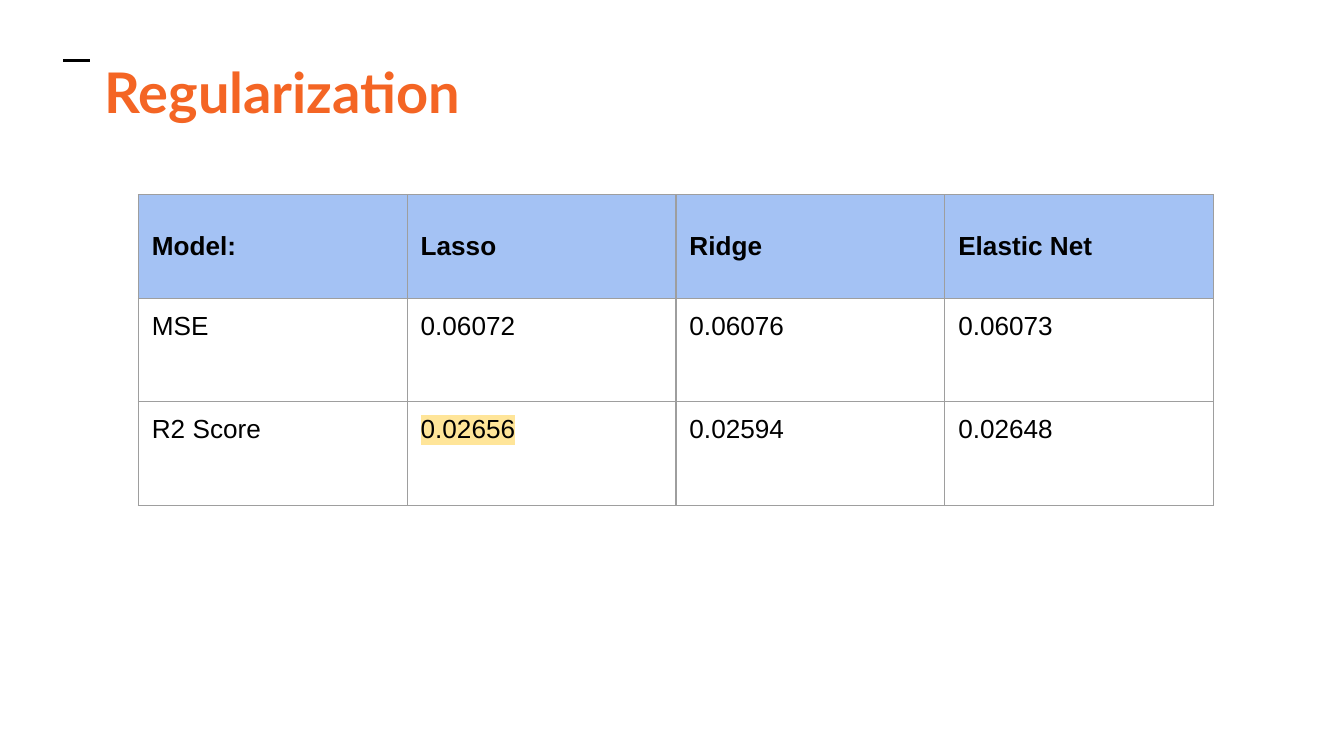
from dataclasses import dataclass

from lxml.etree import SubElement
from pptx import Presentation
from pptx.dml.color import RGBColor as RGB
from pptx.enum.shapes import MSO_CONNECTOR as CONN
from pptx.enum.text import MSO_ANCHOR as ANCHOR
from pptx.oxml.ns import qn
from pptx.util import Inches, Pt


@dataclass(frozen=True)
class Theme:
    """Colours, fonts and sizes of the slide."""
    ink: str = "000000"
    accent: str = "F46524"
    header: str = "A4C2F4"
    mark: str = "FFE599"
    grid: str = "9E9E9E"
    title_font: str = "Lato"
    body_font: str = "Arial"
    title_size: float = 30
    body_size: float = 14
    rule: float = 1.5
    hairline: float = 0.75
    inset: float = 0.1


def solid(parent, tag, color):
    """Append an element that holds an RGB colour."""
    SubElement(SubElement(parent, qn(tag)), qn("a:srgbClr"), val=color)


def write(tf, text, *, font, size, color, bold=False, mark=None,
          spacing=None, after=None):
    """Put formatted text in the first paragraph of a text frame."""
    p = tf.paragraphs[0]
    if spacing:
        p.line_spacing = spacing
    if after is not None:
        p.space_after = Pt(after)
    r = p.add_run()
    r.text = text
    r.font.name, r.font.size, r.font.bold = font, Pt(size), bold
    r.font.color.rgb = RGB.from_string(color)
    if mark:
        rpr = r.font._element
        solid(rpr, "a:highlight", mark)
        rpr.find(qn("a:solidFill")).addnext(rpr.find(qn("a:highlight")))


class Deck:
    """Holds the theme and the current slide."""

    def __init__(self, width, height, theme):
        """Start a presentation with one blank slide."""
        self.prs, self.theme = Presentation(), theme
        self.prs.slide_width, self.prs.slide_height = Inches(width), Inches(height)
        self.s = self.prs.slides.add_slide(self.prs.slide_layouts[6])

    def x(self, share):
        """Turn a share of the slide width into a length."""
        return round(self.prs.slide_width * share)

    def y(self, share):
        """Turn a share of the slide height into a length."""
        return round(self.prs.slide_height * share)

    def pad(self, box):
        """Give a text frame or cell equal insets."""
        inset = Inches(self.theme.inset)
        box.margin_left = box.margin_right = inset
        box.margin_top = box.margin_bottom = inset

    def rule(self, left, right, y):
        """Draw a short horizontal line."""
        sp = self.s.shapes.add_connector(
            CONN.STRAIGHT, self.x(left), self.y(y), self.x(right), self.y(y))
        sp.line.color.rgb = RGB.from_string(self.theme.ink)
        sp.line.width = Pt(self.theme.rule)
        SubElement(sp._element.spPr, qn("a:effectLst"))

    def title(self, text, left, top, width, height):
        """Add the slide title."""
        t = self.theme
        tf = self.s.shapes.add_textbox(
            self.x(left), self.y(top), self.x(width), self.y(height)).text_frame
        tf.word_wrap, tf.vertical_anchor = True, ANCHOR.MIDDLE
        self.pad(tf)
        write(tf, text, font=t.title_font, size=t.title_size, color=t.accent,
              bold=True, spacing=1.15, after=16)

    def border(self, cell):
        """Outline a cell on all four sides."""
        tcpr = cell._tc.get_or_add_tcPr()
        for side in ("a:lnL", "a:lnR", "a:lnT", "a:lnB"):
            ln = SubElement(tcpr, qn(side), w=str(Pt(self.theme.hairline)))
            solid(ln, "a:solidFill", self.theme.grid)

    def table(self, rows, left, top, col_width, row_height, best):
        """Add a table with a header row and highlighted best values."""
        t, n_rows, n_cols = self.theme, len(rows), len(rows[0])
        w, h = self.x(col_width), self.y(row_height)
        table = self.s.shapes.add_table(
            n_rows, n_cols, self.x(left), self.y(top), w * n_cols, h * n_rows).table
        table.horz_banding = False
        for i, row in enumerate(rows):
            table.rows[i].height = h
            for j, text in enumerate(row):
                table.columns[j].width = w
                cell, head = table.cell(i, j), i == 0
                self.pad(cell)
                cell.vertical_anchor = ANCHOR.MIDDLE if head else ANCHOR.TOP
                self.border(cell)
                if head:
                    cell.fill.solid()
                    cell.fill.fore_color.rgb = RGB.from_string(t.header)
                else:
                    cell.fill.background()
                write(cell.text_frame, text, font=t.body_font, size=t.body_size,
                      color=t.ink, bold=head, mark=t.mark if text in best else None)


WIDTH = 10
HEIGHT = WIDTH * 9 / 16
SCORES = [
    ("Model:", "Lasso", "Ridge", "Elastic Net"),
    ("MSE", "0.06072", "0.06076", "0.06073"),
    ("R2 Score", "0.02656", "0.02594", "0.02648"),
]

deck = Deck(WIDTH, HEIGHT, Theme())
deck.rule(0.47 / WIDTH, 0.67 / WIDTH, 0.08)
deck.title("Regularization", 0.68 / WIDTH, 0.25 / HEIGHT, 0.62, 0.14)
deck.table(SCORES, 1.03 / WIDTH, 1.45 / HEIGHT, 0.2, 0.77 / HEIGHT, best={"0.02656"})
deck.prs.save("out.pptx")
